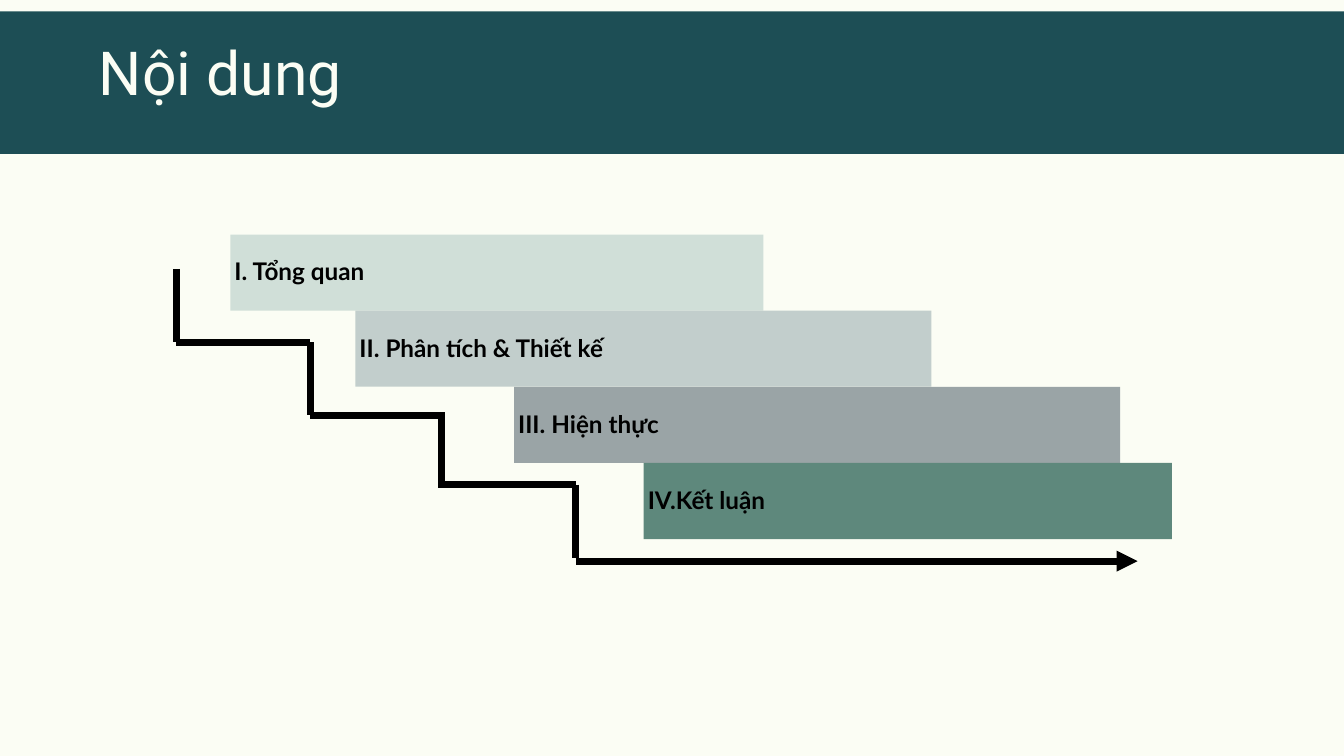
from dataclasses import dataclass
from lxml.etree import SubElement
from pptx import Presentation
from pptx.dml.color import RGBColor
from pptx.enum.shapes import MSO_CONNECTOR, MSO_SHAPE
from pptx.enum.text import MSO_ANCHOR, PP_ALIGN
from pptx.oxml.ns import qn
from pptx.util import Inches, Pt

TITLE = "Nội dung"
# label, left, width, fill
BARS = [
    ("I. Tổng quan", 3.43, 7.93, "D0DFD8"),
    ("II. Phân tích & Thiết kế", 5.29, 8.57, "C2CECC"),
    ("III. Hiện thực", 7.65, 9.02, "9AA4A6"),
    ("IV.Kết luận", 9.58, 7.86, "5E887C"),
]
BAR_TOP, BAR_TALL = 3.49, 1.133
# each step goes down from (x, top) to foot, then right along the tread
STEPS = [
    # x, top, foot, tread, end
    (2.62, 4, 5.09, 5.09, 4.62),
    (4.62, 5.09, 6.18, 6.18, 6.62),
    (6.57, 6.18, 7.26, 7.21, 8.57),
    (8.57, 7.21, 8.3, 8.35, 16.93),
]


@dataclass(frozen=True)
class Theme:
    paper: str = "FBFDF4"
    banner: str = "1D4E55"
    ink: str = "000000"
    head: str = "Roboto"
    body: str = "Lato"
    head_size: float = 65
    body_size: float = 26
    body_lead: float = 31.2
    stroke: float = 7.5


THEME = Theme()


def rgb(code):
    return RGBColor.from_string(code)


def write(shape, text, *, font, size, color, lead, bold=False,
          align=PP_ALIGN.LEFT, anchor=MSO_ANCHOR.TOP, inset=(0, 0, 0, 0)):
    """Fill a shape with one paragraph; inset is left, top, right, bottom."""
    frame = shape.text_frame
    frame.word_wrap = True
    frame.vertical_anchor = anchor
    (frame.margin_left, frame.margin_top,
     frame.margin_right, frame.margin_bottom) = map(Inches, inset)
    para = frame.paragraphs[0]
    para.alignment = align
    para.line_spacing = Pt(lead)
    run = para.add_run()
    run.text = text
    run.font.name = font
    run.font.size = Pt(size)
    run.font.bold = bold
    run.font.color.rgb = rgb(color)


def block(slide, kind, box, fill):
    shape = slide.shapes.add_shape(kind, *map(Inches, box))
    shape.shadow.inherit = False
    shape.fill.solid()
    shape.fill.fore_color.rgb = rgb(fill)
    shape.line.fill.background()
    return shape


def stroke(slide, start, end, arrow=False):
    line = slide.shapes.add_connector(
        MSO_CONNECTOR.STRAIGHT, *map(Inches, (*start, *end)))
    line.line.color.rgb = rgb(THEME.ink)
    line.line.width = Pt(THEME.stroke)
    if arrow:
        SubElement(line.line._get_or_add_ln(), qn("a:tailEnd"), type="triangle")
    SubElement(line._element.spPr, qn("a:effectLst"))


def main():
    deck = Presentation()
    deck.slide_width, deck.slide_height = Inches(20), Inches(11.25)
    slide = deck.slides.add_slide(deck.slide_layouts[6])
    slide.background.fill.solid()
    slide.background.fill.fore_color.rgb = rgb(THEME.paper)

    banner = block(slide, MSO_SHAPE.ROUNDED_RECTANGLE,
                   (-1.23, 0.17, 22.46, 2.12), THEME.banner)
    banner.adjustments[0] = 0.5

    for row, (label, left, width, fill) in enumerate(BARS):
        box = (left, BAR_TOP + row * BAR_TALL, width, BAR_TALL)
        bar = block(slide, MSO_SHAPE.RECTANGLE, box, fill)
        write(bar, label, font=THEME.body, size=THEME.body_size, bold=True,
              color=THEME.ink, lead=THEME.body_lead,
              anchor=MSO_ANCHOR.MIDDLE, inset=(0.06, 0.06, 0.06, 0.1))

    title = slide.shapes.add_textbox(*map(Inches, (0.1, 0.7, 6.36, 0.96)))
    write(title, TITLE, font=THEME.head, size=THEME.head_size,
          color=THEME.paper, lead=THEME.head_size, align=PP_ALIGN.CENTER)

    for step in STEPS:
        x, top, foot, tread, end = step
        stroke(slide, (x, top), (x, foot))
        stroke(slide, (x, tread), (end, tread), arrow=step is STEPS[-1])

    deck.save("out.pptx")


if __name__ == "__main__":
    main()
